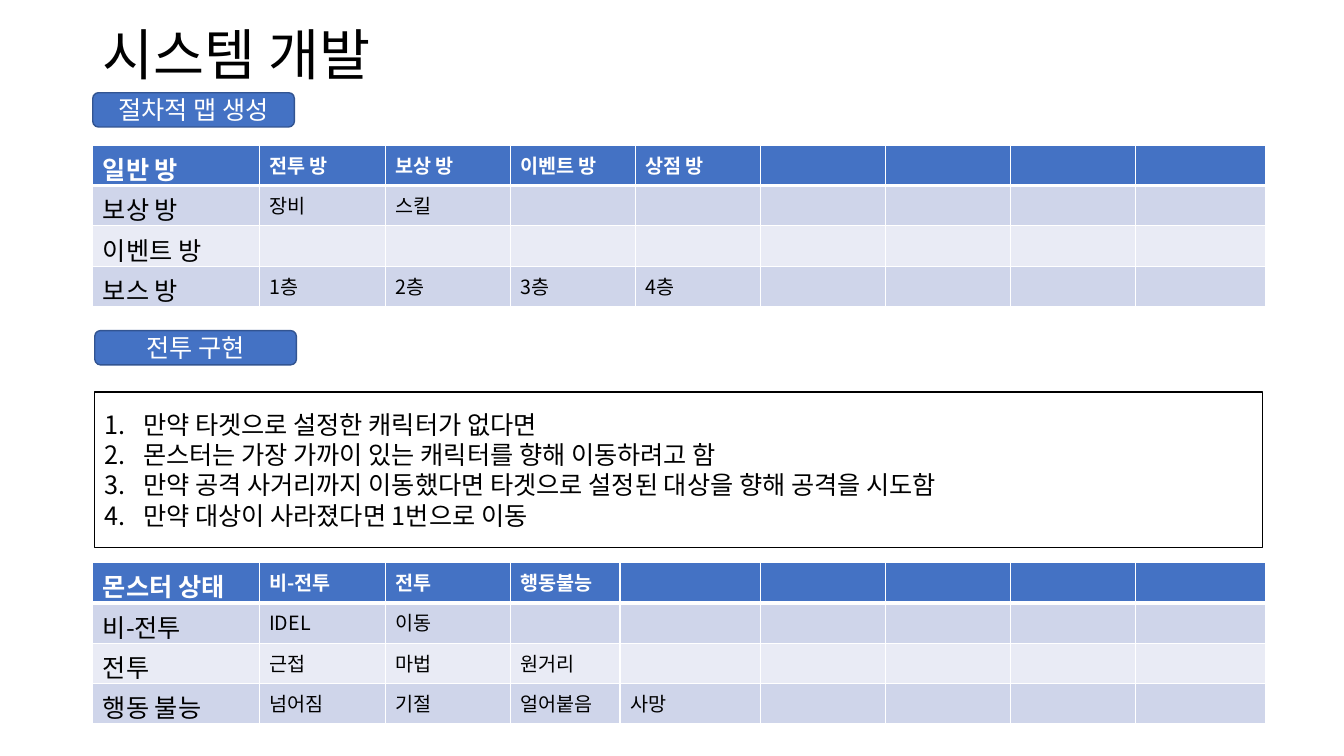
from lxml.etree import SubElement
from pptx import Presentation
from pptx.dml.color import RGBColor
from pptx.enum.shapes import MSO_SHAPE
from pptx.enum.text import MSO_ANCHOR, PP_ALIGN
from pptx.oxml import parse_xml
from pptx.oxml.ns import nsdecls, qn
from pptx.util import Inches, Pt

FONT = "Noto Sans CJK KR"
BLACK = RGBColor(0x00, 0x00, 0x00)
WHITE = RGBColor(0xFF, 0xFF, 0xFF)
BLUE = RGBColor(0x44, 0x72, 0xC4)
DARK_BLUE = RGBColor(0x32, 0x54, 0x91)
BAND_DARK = RGBColor(0xCF, 0xD5, 0xEA)
BAND_LIGHT = RGBColor(0xE9, 0xEB, 0xF5)

ROOM_WIDTHS = [1.65, 1.25, 1.24, 1.24, 1.24, 1.24, 1.24, 1.24, 1.29]
ROOMS = [
    ["일반 방", "전투 방", "보상 방", "이벤트 방", "상점 방"],
    ["보상 방", "장비", "스킬"],
    ["이벤트 방"],
    ["보스 방", "1층", "2층", "3층", "4층"],
]
STATE_WIDTHS = [1.65, 1.25, 1.24, 1.09, 1.39, 1.24, 1.24, 1.24, 1.29]
MONSTER_STATES = [
    ["몬스터 상태", "비-전투", "전투", "행동불능"],
    ["비-전투", "IDEL", "이동"],
    ["전투", "근접", "마법", "원거리"],
    ["행동 불능", "넘어짐", "기절", "얼어붙음", "사망"],
]
COMBAT_STEPS = [
    "만약 타겟으로 설정한 캐릭터가 없다면",
    "몬스터는 가장 가까이 있는 캐릭터를 향해 이동하려고 함",
    "만약 공격 사거리까지 이동했다면 타겟으로 설정된 대상을 향해 공격을 시도함",
    "만약 대상이 사라졌다면 1번으로 이동",
]


def add_run(paragraph, text, size, color, bold=False):
    """Add one run in the slide's font."""
    run = paragraph.add_run()
    run.text = text
    run.font.size = Pt(size)
    run.font.bold = bold
    run.font.color.rgb = color
    run.font.name = FONT
    SubElement(run.font._element, qn("a:ea"), typeface=FONT)


def add_title(slide, left, top, width, height, text):
    """Place the slide title."""
    frame = slide.shapes.add_textbox(
        Inches(left), Inches(top), Inches(width), Inches(height)).text_frame
    frame.word_wrap = True
    frame.vertical_anchor = MSO_ANCHOR.MIDDLE
    frame.paragraphs[0].line_spacing = 0.9
    add_run(frame.paragraphs[0], text, 39.6, BLACK)


def add_panel(slide, preset, left, top, width, height, outline):
    """Add an outlined shape without a shadow."""
    panel = slide.shapes.add_shape(
        preset, Inches(left), Inches(top), Inches(width), Inches(height))
    panel.shadow.inherit = False
    panel.line.color.rgb = outline
    panel.line.width = Pt(1)
    panel.text_frame.word_wrap = True
    panel.text_frame.vertical_anchor = MSO_ANCHOR.MIDDLE
    return panel


def add_section_label(slide, left, top, text):
    """Place a rounded section heading."""
    label = add_panel(slide, MSO_SHAPE.ROUNDED_RECTANGLE, left, top, 2, 0.34, DARK_BLUE)
    label.fill.solid()
    label.fill.fore_color.rgb = BLUE
    heading = label.text_frame.paragraphs[0]
    heading.alignment = PP_ALIGN.CENTER
    add_run(heading, text, 18, WHITE)


def add_steps(slide, left, top, width, height, steps):
    """Place the framed numbered list."""
    box = add_panel(slide, MSO_SHAPE.RECTANGLE, left, top, width, height, BLACK)
    box.fill.background()
    frame = box.text_frame
    for index, step in enumerate(steps):
        paragraph = frame.add_paragraph() if index else frame.paragraphs[0]
        paragraph.alignment = PP_ALIGN.LEFT
        properties = paragraph._p.get_or_add_pPr()
        properties.set("marL", str(Inches(0.38)))
        properties.set("indent", str(-Inches(0.38)))
        SubElement(properties, qn("a:buFont"), typeface="+mj-lt")
        SubElement(properties, qn("a:buAutoNum"), type="arabicPeriod")
        add_run(paragraph, step, 18, BLACK)


def set_borders(cell, bottom):
    """Draw white cell borders, with the bottom one in its own width."""
    properties = cell._tc.get_or_add_tcPr()
    for index, (side, width) in enumerate(
            [("lnL", 1), ("lnR", 1), ("lnT", 1), ("lnB", bottom)]):
        properties.insert(index, parse_xml(
            f'<a:{side} {nsdecls("a")} w="{Pt(width)}"><a:solidFill>'
            f'<a:srgbClr val="{WHITE}"/></a:solidFill></a:{side}>'))


def add_grid(slide, left, top, widths, rows):
    """Place a banded table whose first column is in larger text."""
    row_height = 0.4
    table = slide.shapes.add_table(
        len(rows), len(widths), Inches(left), Inches(top),
        Inches(sum(widths)), Inches(row_height * len(rows))).table
    for column, width in zip(table.columns, widths):
        column.width = Inches(width)
    for r, texts in enumerate(rows):
        header = r == 0
        band = BLUE if header else BAND_DARK if r % 2 else BAND_LIGHT
        for c in range(len(widths)):
            cell = table.cell(r, c)
            cell.fill.solid()
            cell.fill.fore_color.rgb = band
            set_borders(cell, 3 if header else 1)
            if c < len(texts):
                add_run(cell.text_frame.paragraphs[0], texts[c],
                        14 if c else 18, WHITE if header else BLACK, header)


def main():
    """Build and save the slide."""
    deck = Presentation()
    deck.slide_width, deck.slide_height = Inches(13.33), Inches(7.5)
    slide = deck.slides.add_slide(deck.slide_layouts[6])
    add_title(slide, 0.92, 0.4, 9.14, 0.35, "시스템 개발")
    add_section_label(slide, 0.92, 0.92, "절차적 맵 생성")
    add_grid(slide, 0.92, 1.44, ROOM_WIDTHS, ROOMS)
    add_section_label(slide, 0.94, 3.28, "전투 구현")
    add_steps(slide, 0.94, 3.89, 11.58, 1.54, COMBAT_STEPS)
    add_grid(slide, 0.92, 5.58, STATE_WIDTHS, MONSTER_STATES)
    deck.save("out.pptx")


if __name__ == "__main__":
    main()
